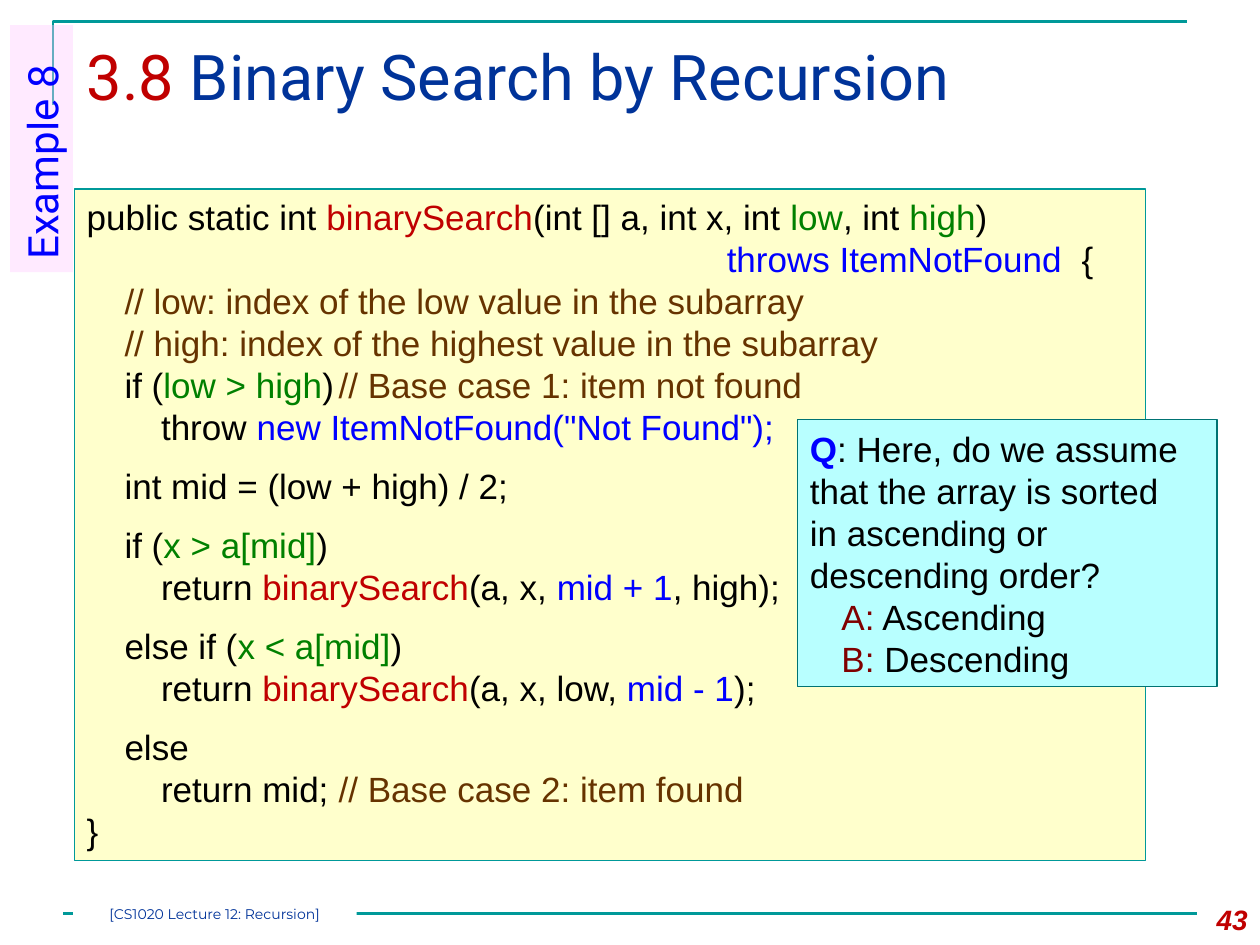
from lxml import etree
from pptx import Presentation
from pptx import util as u
from pptx.dml.color import RGBColor
from pptx.enum import shapes, text
from pptx.oxml.ns import qn

HUES = {
    "black": "000000", "white": "FFFFFF", "red": "C00000", "green": "008000",
    "blue": "0000FF", "navy": "003399", "brown": "663300", "wine": "800000",
    "teal": "009999", "dark": "007373", "cream": "FFFFCC", "aqua": "B8FFFF",
    "pink": "FFCCFF",
}
TOP, MID = text.MSO_ANCHOR.TOP, text.MSO_ANCHOR.MIDDLE
RECT = shapes.MSO_SHAPE.RECTANGLE

deck = Presentation()
deck.slide_width, deck.slide_height = u.Inches(10), u.Inches(7.5)
slide = deck.slides.add_slide(deck.slide_layouts[6])
items = slide.shapes


def block(left, top, wide, high, fill=None, edge=None):
    """Add a rectangle, plain unless given a fill or an edge."""
    box = items.add_shape(RECT, *map(u.Inches, (left, top, wide, high)))
    box.shadow.inherit = False
    if fill:
        box.fill.solid()
        box.fill.fore_color.rgb = RGBColor.from_string(HUES[fill])
    else:
        box.fill.background()
    if edge:
        box.line.color.rgb = RGBColor.from_string(HUES[edge])
        box.line.width = u.Pt(0.75)
    else:
        box.line.fill.background()
    return box


def write(frame, lines, size, font, anchor=MID, align=text.PP_ALIGN.LEFT):
    """Fill a frame with lines, each a list of (words, hue) runs."""
    frame.word_wrap = True
    frame.vertical_anchor = anchor
    for i, line in enumerate(lines):
        para = frame.paragraphs[0] if i == 0 else frame.add_paragraph()
        para.alignment = align
        for words, hue in line:
            if words == "\n":
                para.add_line_break()
                continue
            run = para.add_run()
            run.text = words
            run.font.size, run.font.name = u.Pt(size), font
            run.font.color.rgb = RGBColor.from_string(HUES[hue])
    return frame.paragraphs


# Frame lines
pen = items.build_freeform(u.Inches(0.42), u.Inches(0.83))
pen.add_line_segments(
    [(u.Inches(0.42), u.Inches(0.17)), (u.Inches(9.42), u.Inches(0.17))], close=False)
corner = pen.convert_to_shape()
corner.shadow.inherit = False
corner.fill.background()
rule = items.add_connector(
    shapes.MSO_CONNECTOR.STRAIGHT,
    u.Inches(0.5), u.Inches(7.25), u.Inches(9.5), u.Inches(7.25))
etree.SubElement(rule.element.spPr, qn("a:effectLst"))
for line in (corner.line, rule.line):
    line.color.rgb = RGBColor.from_string(HUES["teal"])
    line.width = u.Pt(1.5)
# The effect list must follow the line in the shape properties
rule.element.spPr.append(rule.element.spPr.find(qn("a:effectLst")))

# Title and page number
title = items.add_textbox(*map(u.Inches, (0.59, 0.25, 9.25, 0.86)))
write(title.text_frame, [[("3.8 ", "red"), ("Binary Search by Recursion", "navy")]],
      36, "Roboto", TOP)
page = items.add_textbox(*map(u.Inches, (9.33, 7.1, 0.67, 0.4)))
mark = write(page.text_frame, [[("43", "red")]], 16, "Arial", MID, text.PP_ALIGN.RIGHT)
mark[0].runs[0].font.bold = mark[0].runs[0].font.italic = True

# Code listing
CODE = [
    [("public static int ", "black"), ("binarySearch", "red"),
     ("(int [] a, int x, int ", "black"), ("low", "green"), (", int ", "black"),
     ("high", "green"), (")", "black")],
    [("throws ItemNotFound  ", "blue"), ("{", "black")],
    [("\t// low: index of the low value in the subarray", "brown")],
    [("\t// high: index of the highest value in the subarray", "brown")],
    [("\tif (", "black"), ("low > high", "green"), (")\t", "black"),
     ("// Base case 1: item not found", "brown")],
    [("\t\tthrow ", "black"), ('new ItemNotFound("Not Found");', "blue")],
    [("\tint mid = (low + high) / 2;", "black")],
    [("\tif (", "black"), ("x > a[mid]", "green"), (")", "black")],
    [("\t\treturn ", "black"), ("binarySearch", "red"), ("(a, x, ", "black"),
     ("mid + 1", "blue"), (", high);", "black")],
    [("\telse if (", "black"), ("x < a[mid]", "green"), (")", "black")],
    [("\t\treturn ", "black"), ("binarySearch", "red"), ("(a, x, low, ", "black"),
     ("mid - 1", "blue"), (");", "black")],
    [("\telse", "black")],
    [("\t\treturn mid;", "black"), ("\t// Base case 2: item found", "brown")],
    [("}", "black")],
]
code = block(0.59, 1.5, 8.5, 5.33, "cream", "teal")
rows = write(code.text_frame, CODE, 20, "Arial", TOP)
for i, row in enumerate(rows):
    row.line_spacing = u.Pt(24)
    if i in (6, 7, 9, 11):
        row.space_before = u.Pt(9.7)
    stops = etree.SubElement(row._p.get_or_add_pPr(), qn("a:tabLst"))
    for stop in (0.3, 0.59, 2):
        etree.SubElement(stops, qn("a:tab"), pos=str(u.Inches(stop)), algn="l")
rows[1]._p.get_or_add_pPr().set("marL", str(u.Inches(5.08)))

# Question
ASK = [
    [("Q", "blue"), (": Here, do we assume that the array is sorted ", "black"),
     ("\n", "black"), ("in ascending or descending order?", "black")],
    [("A:", "wine"), (" Ascending", "black")],
    [("B:", "wine"), (" Descending", "black")],
]
quiz = block(6.33, 3.33, 3.33, 2.12, "aqua", "dark")
rows = write(quiz.text_frame, ASK, 20, "Arial")
rows[0].runs[0].font.bold = True
for row in rows:
    row.line_spacing = u.Pt(24)
for row in rows[1:]:
    row._p.get_or_add_pPr().set("marL", str(u.Inches(0.25)))

# Side tab
tab = block(-0.65, 0.93, 1.96, 0.5, "pink")
tab.rotation = 270
tint = tab.element.spPr.find(qn("a:solidFill"))[0]
etree.SubElement(tint, qn("a:alpha"), val="40000")
write(tab.text_frame, [[("Example 8", "blue")]], 24, "Roboto")

# Footer
foot = block(0.58, 7.17, 2.25, 0.17, "white").text_frame
foot.margin_left = foot.margin_right = foot.margin_top = foot.margin_bottom = 0
write(foot, [[("[CS1020 Lecture 12: Recursion]", "navy")]], 8, "Montserrat",
      MID, text.PP_ALIGN.CENTER)

deck.save("out.pptx")
